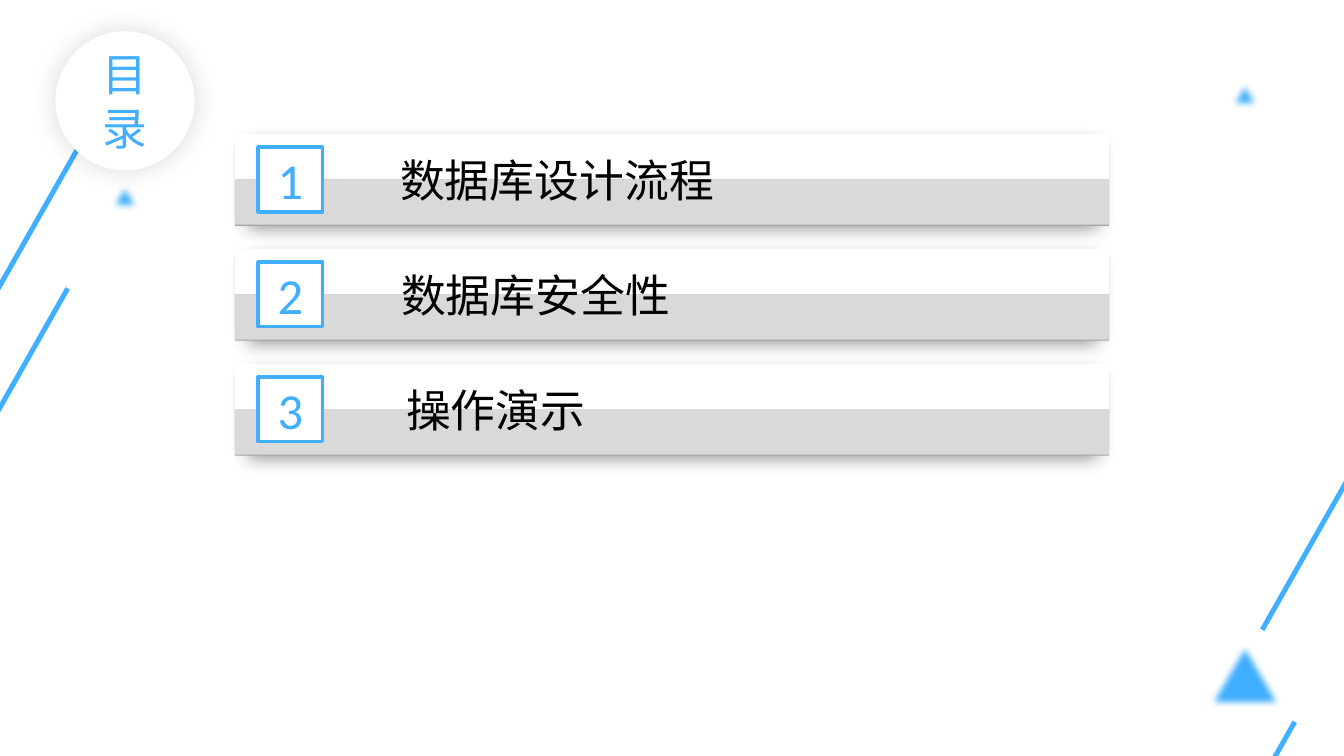
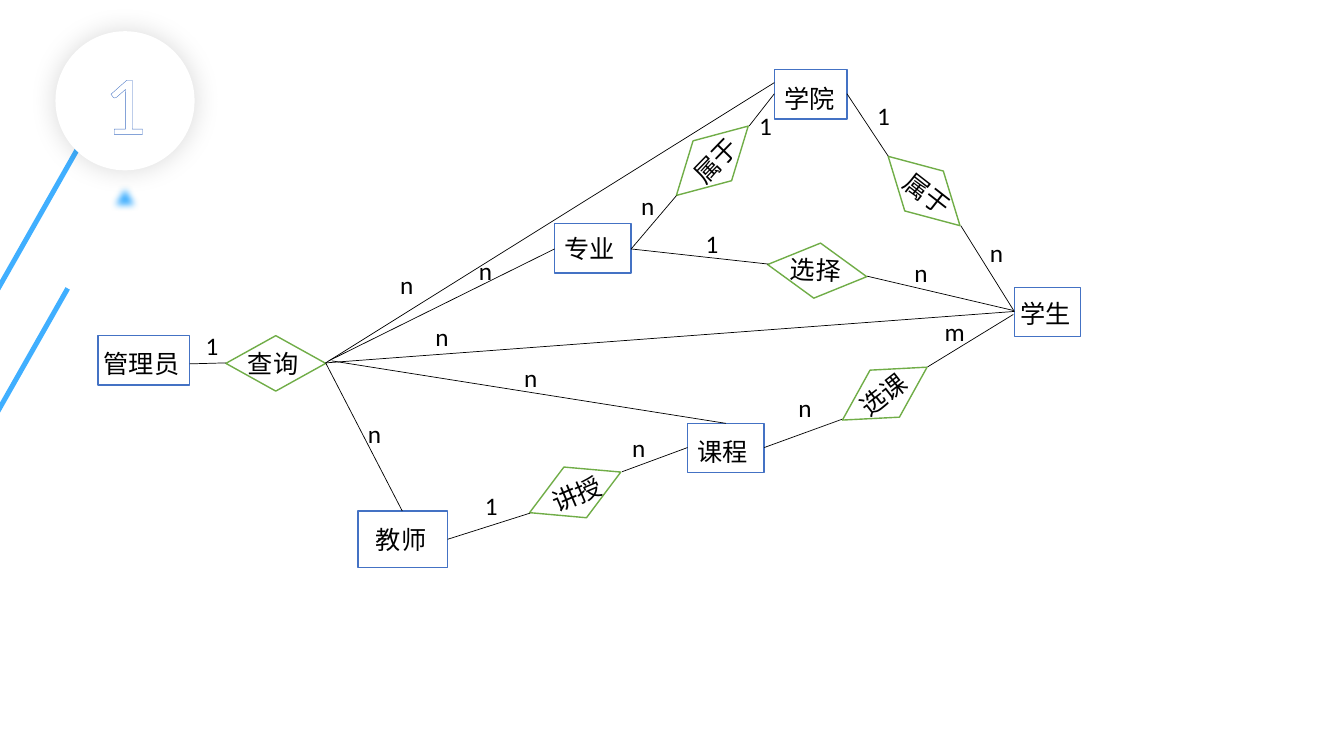
from typing import NamedTuple, Optional

from lxml.etree import Element, SubElement
from pptx import Presentation
from pptx.dml.color import RGBColor
from pptx.enum.shapes import MSO_CONNECTOR, MSO_SHAPE
from pptx.enum.text import MSO_ANCHOR, MSO_AUTO_SIZE, PP_ALIGN
from pptx.oxml.ns import qn
from pptx.util import Emu, Pt

EMU_PER_PX = 9144
EMU_PER_PT = 12700
SKY, WHITE, BLACK = "40AFFF", "FFFFFF", "000000"
SILVER, GREY = "D9D9D9", "A6A6A6"
BLUE, GREEN = "4472C4", "70AD47"


class Box(NamedTuple):
    x: int
    y: int
    w: int
    h: int
    rot: int = 0


class Entity(NamedTuple):
    name: str
    box: Box
    label: Box


class Relation(NamedTuple):
    name: str
    x: int
    y: int
    rot: int
    label: Box


class Link(NamedTuple):
    x1: int
    y1: int
    x2: int
    y2: int


class Mark(NamedTuple):
    text: str
    x: int
    y: int


class Shadow(NamedTuple):
    blur: int
    alpha: int
    scale: int = 100


STRIPES = [(-8, 267), (18, 100)]
CORNER_STRIPES = [(1322, 350), (1209, 697)]
SMALL_TRIANGLE = Box(100, 169, 48, 41)
CORNER_TRIANGLES = [Box(1190, 626, 90, 77), Box(1211, 68, 48, 41)]
BUBBLE = Box(55, 31, 138, 138)

AGENDA = [("数据库设计流程", 387), ("数据库安全性", 388), ("操作演示", 393)]
AGENDA_TOP, AGENDA_PITCH = 133, 114

ENTITIES = [
    Entity("管理员", Box(97, 333, 91, 49), Box(93, 341, 95, 40)),
    Entity("专业", Box(550, 222, 76, 49), Box(550, 227, 87, 40)),
    Entity("学院", Box(768, 69, 72, 49), Box(768, 78, 72, 40)),
    Entity("教师", Box(355, 507, 89, 56), Box(363, 515, 81, 40)),
    Entity("课程", Box(682, 420, 76, 49), Box(682, 428, 76, 40)),
    Entity("学生", Box(1006, 285, 66, 49), Box(1002, 291, 70, 40)),
]
RELATIONS = [
    Relation("查询", 224, 333, 0, Box(236, 341, 75, 40)),
    Relation("选课", 828, 363, 328, Box(841, 370, 74, 40, 322)),
    Relation("属于", 657, 132, 316, Box(672, 132, 90, 40, 314)),
    Relation("讲授", 521, 461, 336, Box(536, 463, 105, 40, 337)),
    Relation("属于", 867, 162, 44, Box(885, 174, 75, 40, 38)),
    Relation("选择", 761, 241, 7, Box(774, 248, 89, 40, 3)),
]
LINKS = [
    Link(188, 361, 224, 360),
    Link(323, 360, 399, 507),
    Link(326, 358, 550, 247),
    Link(329, 358, 720, 420),
    Link(323, 360, 1006, 309),
    Link(323, 360, 768, 82),
    Link(626, 247, 762, 262),
    Link(860, 274, 1005, 308),
    Link(626, 247, 671, 194),
    Link(743, 125, 768, 93),
    Link(840, 93, 881, 155),
    Link(953, 224, 1006, 309),
    Link(444, 535, 526, 509),
    Link(617, 468, 682, 444),
    Link(758, 444, 835, 416),
    Link(920, 364, 1005, 312),
]
MARKS = [
    Mark("1", 194, 323),
    Mark("n", 387, 262),
    Mark("n", 422, 314),
    Mark("n", 355, 410),
    Mark("n", 617, 424),
    Mark("n", 465, 248),
    Mark("n", 510, 355),
    Mark("n", 897, 250),
    Mark("n", 972, 231),
    Mark("n", 626, 184),
    Mark("n", 782, 384),
    Mark("m", 927, 309),
    Mark("1", 690, 222),
    Mark("1", 471, 482),
    Mark("1", 860, 95),
    Mark("1", 743, 105),
]


def px(n: int) -> Emu:
    return Emu(n * EMU_PER_PX)


def paint(fill, color: str) -> None:
    fill.solid()
    fill.fore_color.rgb = RGBColor.from_string(color)


def add_box(s, kind, box: Box, fill: str, line: Optional[str] = None, width: float = 1):
    sp = s.shapes.add_shape(kind, *map(px, box[:4]))
    sp.rotation = box.rot
    sp.shadow.inherit = False
    paint(sp.fill, fill)
    if line:
        paint(sp.line.fill, line)
        sp.line.width = Pt(width)
    else:
        sp.line.fill.background()
    return sp


def add_effect(sp, tag: str, **attrs: str):
    effects = sp._element.spPr.find(qn("a:effectLst"))
    return SubElement(effects, qn(tag), attrs)


def add_shadow(sp, shadow: Shadow) -> None:
    scale = str(shadow.scale * 1000)
    el = add_effect(sp, "a:outerShdw", blurRad=str(shadow.blur * EMU_PER_PT), dist="0",
                    dir="5400000", sx=scale, sy="100000", algn="ctr", rotWithShape="0")
    color = SubElement(el, qn("a:srgbClr"), val=BLACK)
    SubElement(color, qn("a:alpha"), val=str(shadow.alpha * 1000))


def write(sp, text: str, *, size: int, font: str = "Calibri", color: str = BLACK,
          align=PP_ALIGN.LEFT, anchor=MSO_ANCHOR.TOP, outline: Optional[str] = None) -> None:
    tf = sp.text_frame
    tf.word_wrap = True
    tf.vertical_anchor = anchor
    p = tf.paragraphs[0]
    p.alignment = align
    r = p.add_run()
    r.text = text
    r.font.size = Pt(size)
    r.font.name = font
    paint(r.font.fill, color)
    if outline:
        ln = Element(qn("a:ln"), w=str(int(0.8 * EMU_PER_PT)))
        SubElement(SubElement(ln, qn("a:solidFill")), qn("a:srgbClr"), val=outline)
        r._r.get_or_add_rPr().insert(0, ln)


def add_label(s, text: str, box: Box, size: int = 18, font: str = "Calibri") -> None:
    sp = s.shapes.add_textbox(*map(px, box[:4]))
    sp.rotation = box.rot
    write(sp, text, size=size, font=font)
    sp.text_frame.auto_size = MSO_AUTO_SIZE.SHAPE_TO_FIT_TEXT


def add_stripe(s, x: int, y: int) -> None:
    add_box(s, MSO_SHAPE.RECTANGLE, Box(x, y, 5, 294), SKY).rotation = 29.6


def add_triangle(s, box: Box) -> None:
    sp = add_box(s, MSO_SHAPE.ISOSCELES_TRIANGLE, box, SKY)
    add_effect(sp, "a:softEdge", rad=str(5 * EMU_PER_PT))


def add_link(s, link: Link) -> None:
    c = s.shapes.add_connector(MSO_CONNECTOR.STRAIGHT, *map(px, link))
    paint(c.line.fill, BLACK)
    c.line.width = Pt(0.5)
    SubElement(c._element.spPr, qn("a:effectLst"))


def new_slide(prs, title: str, size: int, color: str, outline: Optional[str] = None):
    s = prs.slides.add_slide(prs.slide_layouts[6])
    for x, y in STRIPES:
        add_stripe(s, x, y)
    add_triangle(s, SMALL_TRIANGLE)
    bubble = add_box(s, MSO_SHAPE.OVAL, BUBBLE, WHITE)
    add_shadow(bubble, Shadow(19, 15))
    write(bubble, title, size=size, color=color, align=PP_ALIGN.CENTER,
          anchor=MSO_ANCHOR.MIDDLE, outline=outline)
    return s


def add_agenda_row(s, number: int, text: str, text_x: int) -> None:
    y = AGENDA_TOP + (number - 1) * AGENDA_PITCH
    base = add_box(s, MSO_SHAPE.RECTANGLE, Box(233, y + 9, 867, 82), GREY)
    add_shadow(base, Shadow(14, 47, 97))
    for dy, color in ((0, WHITE), (45, SILVER)):
        add_box(s, MSO_SHAPE.RECTANGLE, Box(233, y + dy, 867, 45), color)
    badge = add_box(s, MSO_SHAPE.RECTANGLE, Box(256, y + 13, 64, 64), WHITE, SKY, 2.75)
    write(badge, str(number), size=36, color=SKY, align=PP_ALIGN.CENTER,
          anchor=MSO_ANCHOR.MIDDLE)
    add_label(s, text, Box(text_x, y + 14, 558, 63), 32, "Arial")


def build_agenda(prs) -> None:
    s = new_slide(prs, "目录", 32, SKY)
    for number, (text, text_x) in enumerate(AGENDA, 1):
        add_agenda_row(s, number, text, text_x)
    for x, y in CORNER_STRIPES:
        add_stripe(s, x, y)
    for box in CORNER_TRIANGLES:
        add_triangle(s, box)


def build_diagram(prs) -> None:
    s = new_slide(prs, "1", 60, WHITE, BLUE)
    for e in ENTITIES:
        add_box(s, MSO_SHAPE.RECTANGLE, e.box, WHITE, BLUE)
    for rel in RELATIONS:
        box = Box(rel.x, rel.y, 99, 55, rel.rot)
        add_box(s, MSO_SHAPE.FLOWCHART_DECISION, box, WHITE, GREEN)
    for link in LINKS:
        add_link(s, link)
    for node in ENTITIES + RELATIONS:
        add_label(s, node.name, node.label)
    for mark in MARKS:
        add_label(s, mark.text, Box(mark.x, mark.y, 45, 40))


def main() -> None:
    prs = Presentation()
    prs.slide_width, prs.slide_height = px(1333), px(750)
    build_agenda(prs)
    build_diagram(prs)
    prs.save("out.pptx")


if __name__ == "__main__":
    main()
